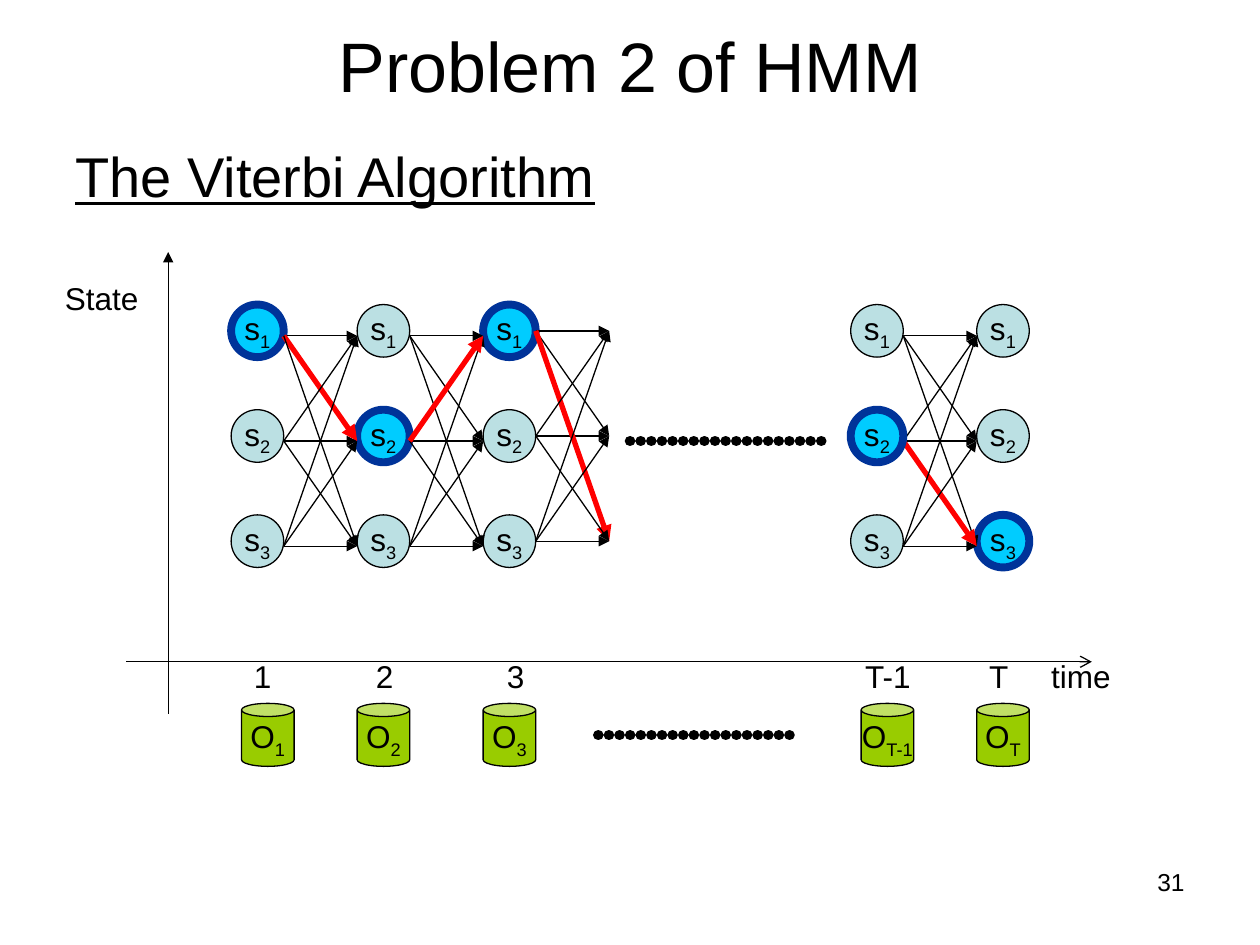
from lxml import etree
from pptx import Presentation
from pptx import util as u
from pptx.dml.color import RGBColor
from pptx.enum import shapes, text
from pptx.oxml import ns

COLORS = {
    "ink": "000000",
    "state": "BBE0E3",
    "best": "00CCFF",
    "best_line": "003399",
    "path": "FF0000",
    "observation": "99CC00",
}
PITCH_X, PITCH_Y = 2.54, 2.12
NODE = 1.06
NODE_TOP = 6.14
FIRST_X, LATE_X = 4.66, 17.15
GAP = PITCH_X - NODE
EDGES = [(1, 1), (2, 2), (3, 3), (1, 2), (1, 3), (2, 3), (3, 1), (3, 2), (2, 1)]


class Board:
    font = "Arial"
    size = 18
    thin = 0.75

    def __init__(self, prs):
        self.s = prs.slides.add_slide(prs.slide_layouts[6])

    def color(self, name):
        return RGBColor.from_string(COLORS[name])

    def run(self, p, words, size=None, underline=None, subscript=False):
        r = p.add_run()
        r.text = words
        r.font.name = self.font
        r.font.size = u.Pt(size or self.size)
        r.font.color.rgb = self.color("ink")
        r.font.underline = underline
        if subscript:
            r._r.get_or_add_rPr().set("baseline", "-25000")

    def label(self, x, y, w, h, words, size=None, align=text.PP_ALIGN.LEFT,
              anchor=text.MSO_ANCHOR.TOP, underline=None, tabs=()):
        tf = self.s.shapes.add_textbox(u.Cm(x), u.Cm(y), u.Cm(w), u.Cm(h)).text_frame
        tf.word_wrap = True
        tf.vertical_anchor = anchor
        p = tf.paragraphs[0]
        p.alignment = align
        if tabs:
            stops = etree.SubElement(p._p.get_or_add_pPr(), ns.qn("a:tabLst"))
            for stop in tabs:
                etree.SubElement(stops, ns.qn("a:tab"), pos=str(u.Cm(stop)), algn="l")
        self.run(p, words, size, underline)

    def symbol(self, kind, x, y, h, fill, letter, index, line="ink", width=thin):
        sp = self.s.shapes.add_shape(kind, u.Cm(x), u.Cm(y), u.Cm(NODE), u.Cm(h))
        sp.shadow.inherit = False
        sp.fill.solid()
        sp.fill.fore_color.rgb = self.color(fill)
        sp.line.color.rgb = self.color(line)
        sp.line.width = u.Pt(width)
        tf = sp.text_frame
        tf.word_wrap = False
        tf.vertical_anchor = text.MSO_ANCHOR.MIDDLE
        p = tf.paragraphs[0]
        p.alignment = text.PP_ALIGN.CENTER
        self.run(p, letter)
        self.run(p, index, subscript=True)

    def states(self, x, best):
        for row in (2, 1, 3):
            style = ("best", "best_line", 4.5) if row == best else ("state", "ink", self.thin)
            fill, line, width = style
            self.symbol(shapes.MSO_SHAPE.OVAL, x, NODE_TOP + (row - 1) * PITCH_Y, NODE,
                        fill, "s", str(row), line, width)

    def observation(self, x, index):
        self.symbol(shapes.MSO_SHAPE.CAN, x, 14.18, 1.27, "observation", "O", index)

    def line(self, x1, y1, x2, y2, color="ink", width=thin, head=None, dotted=False):
        cn = self.s.shapes.add_connector(
            shapes.MSO_CONNECTOR.STRAIGHT, u.Cm(x1), u.Cm(y1), u.Cm(x2), u.Cm(y2))
        cn.line.color.rgb = self.color(color)
        cn.line.width = u.Pt(width)
        sppr = cn._element.spPr
        ln = sppr.find(ns.qn("a:ln"))
        if dotted:
            ln.set("cap", "rnd")
            dash = etree.SubElement(ln, ns.qn("a:custDash"))
            etree.SubElement(dash, ns.qn("a:ds"), d="100000", sp="1000")
        if head:
            etree.SubElement(ln, ns.qn("a:tailEnd"), type=head)
        etree.SubElement(sppr, ns.qn("a:effectLst"))

    def transitions(self, x, y, best):
        for start, end in EDGES:
            color, width = ("path", 3) if (start, end) == best else ("ink", self.thin)
            self.line(x, y + (start - 1) * PITCH_Y, x + GAP, y + (end - 1) * PITCH_Y,
                      color, width, "triangle")


def main():
    prs = Presentation()
    prs.slide_width, prs.slide_height = u.Cm(25.4), u.Cm(19.05)
    b = Board(prs)

    b.label(1.27, 0.33, 22.86, 1.96, "Problem 2 of HMM", 40,
            text.PP_ALIGN.CENTER, text.MSO_ANCHOR.MIDDLE)
    b.label(1.27, 2.72, 22.86, 14.3, "The Viterbi Algorithm", 32, underline=True)

    b.line(3.39, 14.39, 3.39, 5.08, head="triangle")
    b.line(2.54, 13.34, 22.01, 13.34, head="arrow")
    b.label(1.06, 5.5, 2.3, 1.02, "State")
    b.label(4.87, 13.12, 18, 1.02, "1\t2\t3\tT-1\tT\ttime",
            tabs=(2.46, 5.1, 12.32, 14.82, 16.07))

    for column, best in enumerate((1, 2, 1)):
        b.states(FIRST_X + column * PITCH_X, best)
    b.states(LATE_X + PITCH_X, 3)

    stages = [
        (FIRST_X, 6.77, (1, 2)),
        (FIRST_X + PITCH_X, 6.77, (2, 1)),
        (FIRST_X + 2 * PITCH_X, 6.67, (1, 3)),
        (LATE_X, 6.77, (2, 3)),
    ]
    for x, y, best in stages:
        b.transitions(x + NODE, y, best)
    b.states(LATE_X, 2)

    for x, y in ((12.7, 8.89), (12.06, 14.82)):
        b.line(x, y, x + 4.02, y, width=6, dotted=True)

    cans = [(4.87, "1"), (7.2, "2"), (9.74, "3"), (17.36, "T-1"), (19.69, "T")]
    for x, index in cans:
        b.observation(x, index)

    b.label(18.2, 17.36, 5.93, 1.32, "31", 14, text.PP_ALIGN.RIGHT)
    prs.save("out.pptx")


if __name__ == "__main__":
    main()
